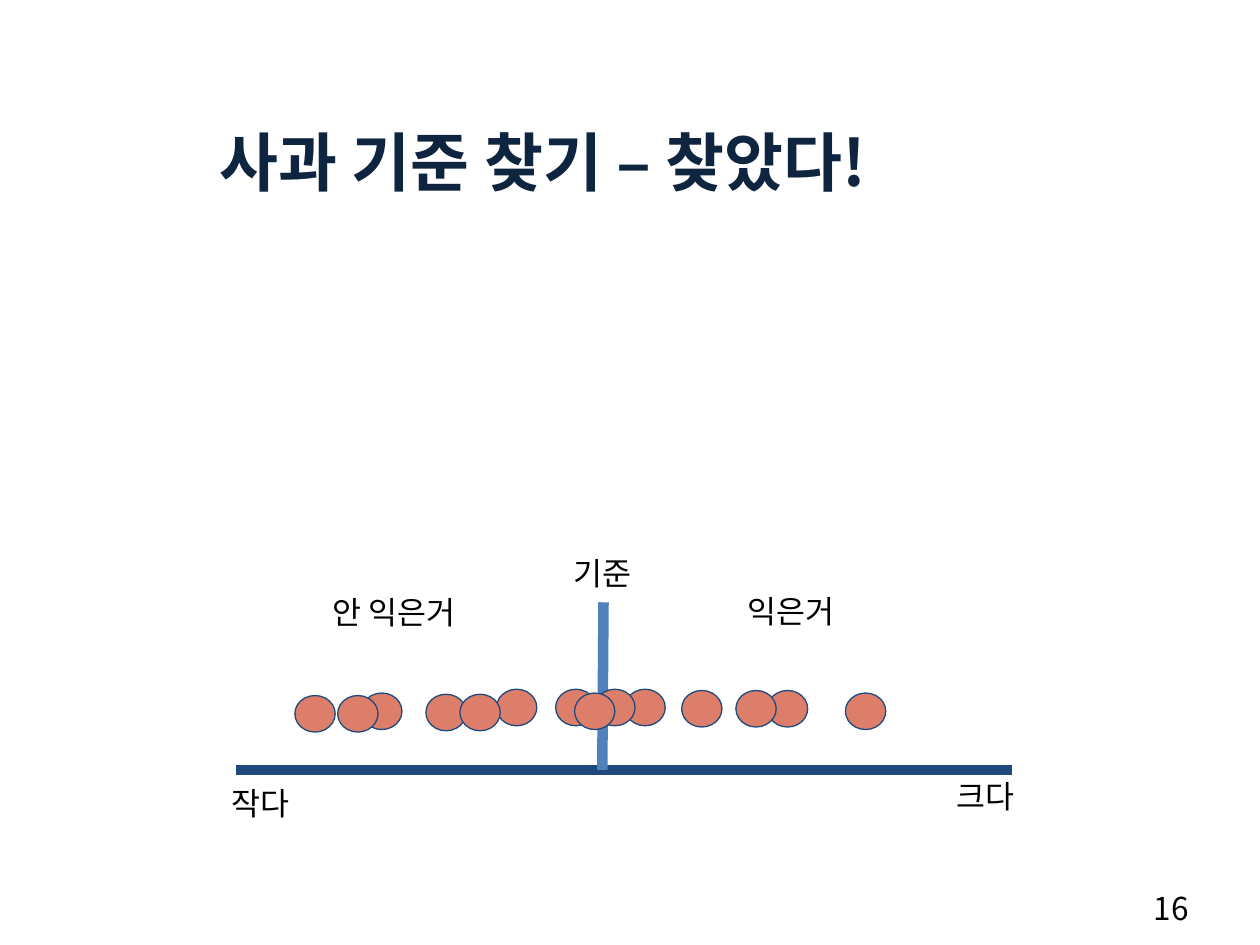
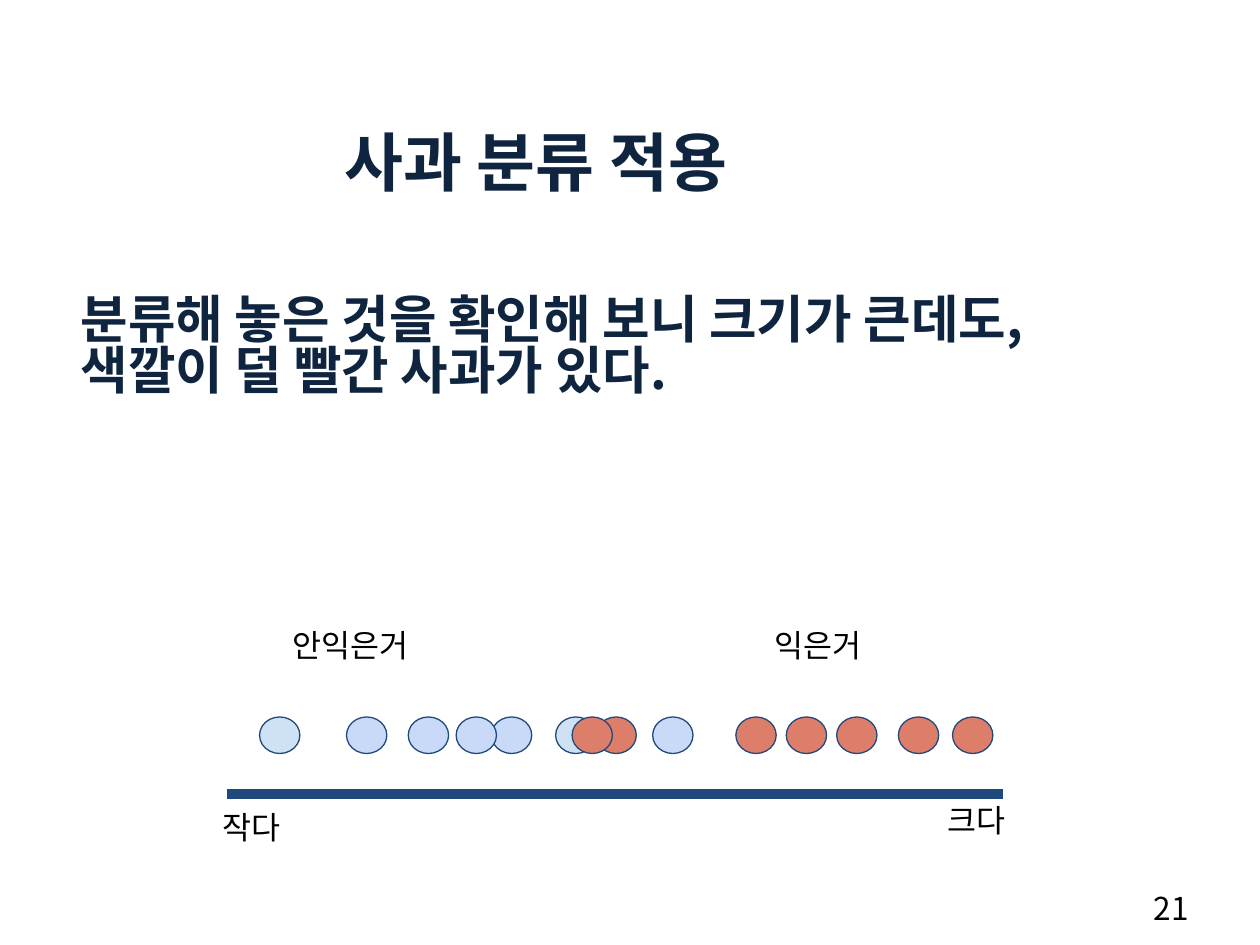
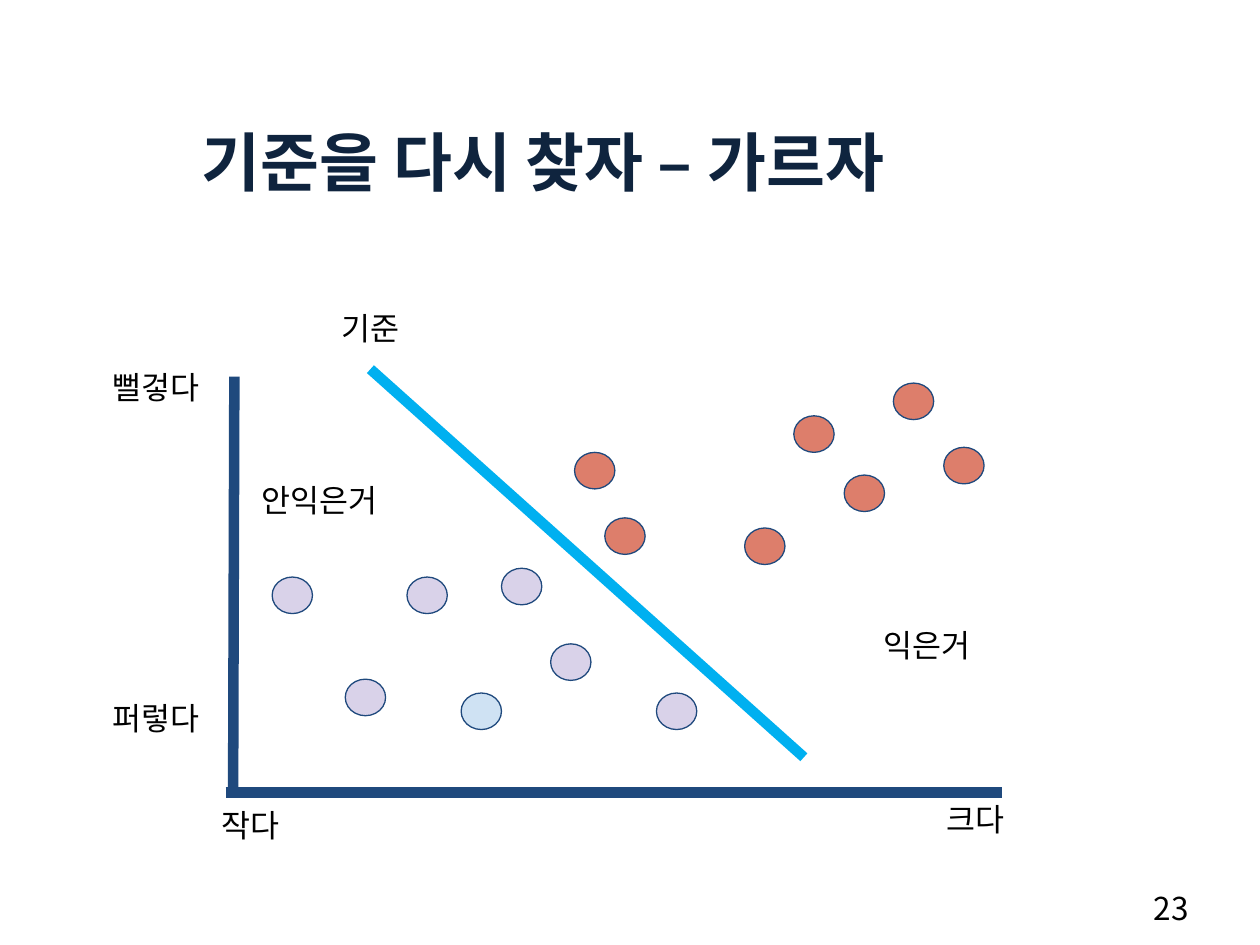
from lxml import etree
from pptx import Presentation
from pptx.dml.color import RGBColor
from pptx.enum.shapes import MSO_CONNECTOR, MSO_SHAPE
from pptx.enum.text import MSO_ANCHOR, MSO_AUTO_SIZE, PP_ALIGN
from pptx.oxml.ns import qn
from pptx.util import Inches, Pt

LEFT, CENTER = PP_ALIGN.LEFT, PP_ALIGN.CENTER
MIDDLE, TOP = MSO_ANCHOR.MIDDLE, MSO_ANCHOR.TOP
NO_FIT = MSO_AUTO_SIZE.NONE
STRAIGHT = MSO_CONNECTOR.STRAIGHT
DOT = MSO_SHAPE.FLOWCHART_CONNECTOR

FONT = "Noto Sans CJK KR"
COLORS = {
    "heading": "0F243E",
    "text": "000000",
    "axis": "1F497D",
    "threshold": "4F81BD",
    "divider": "00B0F0",
    "red": "DD7E6B",
    "blue": "C9DAF8",
    "pale": "CFE2F3",
    "lilac": "D9D2E9",
}
TITLE_ONLY, TITLE_BODY = 5, 1
AXIS_LENGTH = 6.16


def rgb(name):
    return RGBColor.from_string(COLORS[name])


def place(sp, x, y, w, h):
    sp.left, sp.top, sp.width, sp.height = (Inches(v) for v in (x, y, w, h))


def write(p, text, size, color, bold=False, align=LEFT):
    p.alignment = align
    r = p.add_run()
    r.text = text
    r.font.name = FONT
    r.font.size = Pt(size)
    r.font.bold = bold
    r.font.color.rgb = rgb(color)
    etree.SubElement(r.font._element, qn("a:ea")).set("typeface", FONT)


def fill_placeholder(sp, box, text, size, anchor, align):
    place(sp, *box)
    tf = sp.text_frame
    tf.auto_size = NO_FIT
    tf.vertical_anchor = anchor
    p = tf.paragraphs[0]
    p.space_before = Pt(0)
    write(p, text, size, "heading", True, align)
    return tf


def add_label(s, x, y, w, text, align=LEFT):
    box = s.shapes.add_textbox(Inches(x), Inches(y), Inches(w), Inches(0.39))
    tf = box.text_frame
    tf.word_wrap = True
    tf.margin_left = tf.margin_right = tf.margin_top = tf.margin_bottom = Inches(0.1)
    write(tf.paragraphs[0], text, 18, "text", align=align)


def add_line(s, x1, y1, x2, y2, color):
    line = s.shapes.add_connector(STRAIGHT, *(Inches(v) for v in (x1, y1, x2, y2)))
    line.line.color.rgb = rgb(color)
    line.line.width = Pt(6)
    etree.SubElement(line._element.spPr, qn("a:effectLst"))


def add_apple(s, x, y, color):
    sp = s.shapes.add_shape(DOT, Inches(x), Inches(y), Inches(0.32), Inches(0.29))
    sp.shadow.inherit = False
    sp.fill.solid()
    sp.fill.fore_color.rgb = rgb(color)
    sp.line.color.rgb = rgb("axis")
    sp.line.width = Pt(0.75)


def add_slide(prs, layout, title, number):
    s = prs.slides.add_slide(prs.slide_layouts[layout])
    fill_placeholder(s.shapes.title, (0, 0.92, 8.62, 0.71), title, 36.6, MIDDLE, CENTER)
    box = s.shapes.add_textbox(Inches(9.06), Inches(7.01), Inches(0.52), Inches(0.4))
    box.text_frame.word_wrap = False
    write(box.text_frame.paragraphs[0], str(number), 18, "text")
    return s


def add_body(s, text):
    tf = fill_placeholder(s.placeholders[1], (0.54, 2.27, 8.62, 4.59), text, 29.5, TOP, LEFT)
    tf.margin_top = Inches(0.09)
    p = tf.paragraphs[0]
    p.line_spacing = 0.83
    pPr = p._p.get_or_add_pPr()
    pPr.set("marL", "0")
    pPr.set("indent", "0")
    etree.SubElement(pPr, qn("a:buNone"))


def add_plot(s, x0, y0, lines, labels, apples):
    add_line(s, x0, y0, x0 + AXIS_LENGTH, y0, "axis")
    add_label(s, x0 + 5.62, y0 - 0.04, 0.82, "크다")
    add_label(s, x0 - 0.13, y0 + 0.01, 0.82, "작다")
    for x1, y1, x2, y2, color in lines:
        add_line(s, x0 + x1, y0 + y1, x0 + x2, y0 + y2, color)
    for x, y, w, text, align in labels:
        add_label(s, x0 + x, y0 + y, w, text, align)
    for color, points in apples.items():
        for x, y in points:
            add_apple(s, x0 + x, y0 + y, color)


def build_threshold_slide(prs):
    s = add_slide(prs, TITLE_ONLY, "사과 기준 찾기 – 찾았다!", 16)
    add_plot(
        s, 1.87, 6.11,
        lines=[(2.92, -1.33, 2.91, 0, "threshold")],
        labels=[
            (2.5, -1.81, 0.82, "기준", CENTER),
            (3.7, -1.51, 1.42, "익은거", CENTER),
            (0.55, -1.5, 1.42, "안 익은거", CENTER),
        ],
        apples={"red": [
            (4.84, -0.61), (1, -0.61), (2.07, -0.64), (3.09, -0.64), (3.54, -0.63),
            (2.54, -0.64), (4.22, -0.63), (0.47, -0.59), (2.85, -0.64), (1.51, -0.6),
            (2.69, -0.61), (1.78, -0.6), (3.97, -0.63), (0.81, -0.59),
        ]},
    )


def build_result_slide(prs):
    s = add_slide(prs, TITLE_BODY, "사과 분류 적용 ", 21)
    add_body(s, "분류해 놓은 것을 확인해 보니 크기가 큰데도, 색깔이 덜 빨간 사과가 있다.")
    sizes = {
        "blue": [0.95, 2.1, 3.38, 1.44, 1.82],
        "pale": [2.61, 0.26],
        "red": [4.84, 4.04, 5.33, 5.76, 2.93, 4.44, 2.74],
    }
    add_plot(
        s, 1.8, 6.3,
        lines=[],
        labels=[
            (0.42, -1.43, 1.34, "안익은거", LEFT),
            (4.25, -1.43, 1.08, "익은거", LEFT),
        ],
        apples={color: [(x, -0.61) for x in xs] for color, xs in sizes.items()},
    )


def build_divider_slide(prs):
    s = add_slide(prs, TITLE_ONLY, "기준을 다시 찾자 – 가르자", 23)
    add_plot(
        s, 1.79, 6.29,
        lines=[
            (0.07, -3.3, 0.06, 0.03, "axis"),
            (1.15, -3.36, 4.59, -0.28, "divider"),
        ],
        labels=[
            (0.19, -2.57, 1.26, "안익은거", LEFT),
            (5.12, -1.42, 1.08, "익은거", LEFT),
            (-1.1, -3.47, 1.1, "뻘겋다", CENTER),
            (-1.1, -0.84, 1.1, "퍼렇다", CENTER),
            (0.74, -3.94, 0.82, "기준", CENTER),
        ],
        apples={
            "red": [
                (4.91, -2.52), (4.12, -2.1), (5.3, -3.25), (5.7, -2.74),
                (3.01, -2.18), (4.51, -2.99), (2.77, -2.7),
            ],
            "lilac": [
                (0.95, -0.9), (2.19, -1.78), (3.42, -0.79),
                (2.58, -1.18), (1.44, -1.71), (0.37, -1.71),
            ],
            "pale": [(1.87, -0.79)],
        },
    )


def main():
    prs = Presentation()
    prs.slide_width, prs.slide_height = Inches(10), Inches(7.5)
    build_threshold_slide(prs)
    build_result_slide(prs)
    build_divider_slide(prs)
    prs.save("out.pptx")


if __name__ == "__main__":
    main()
